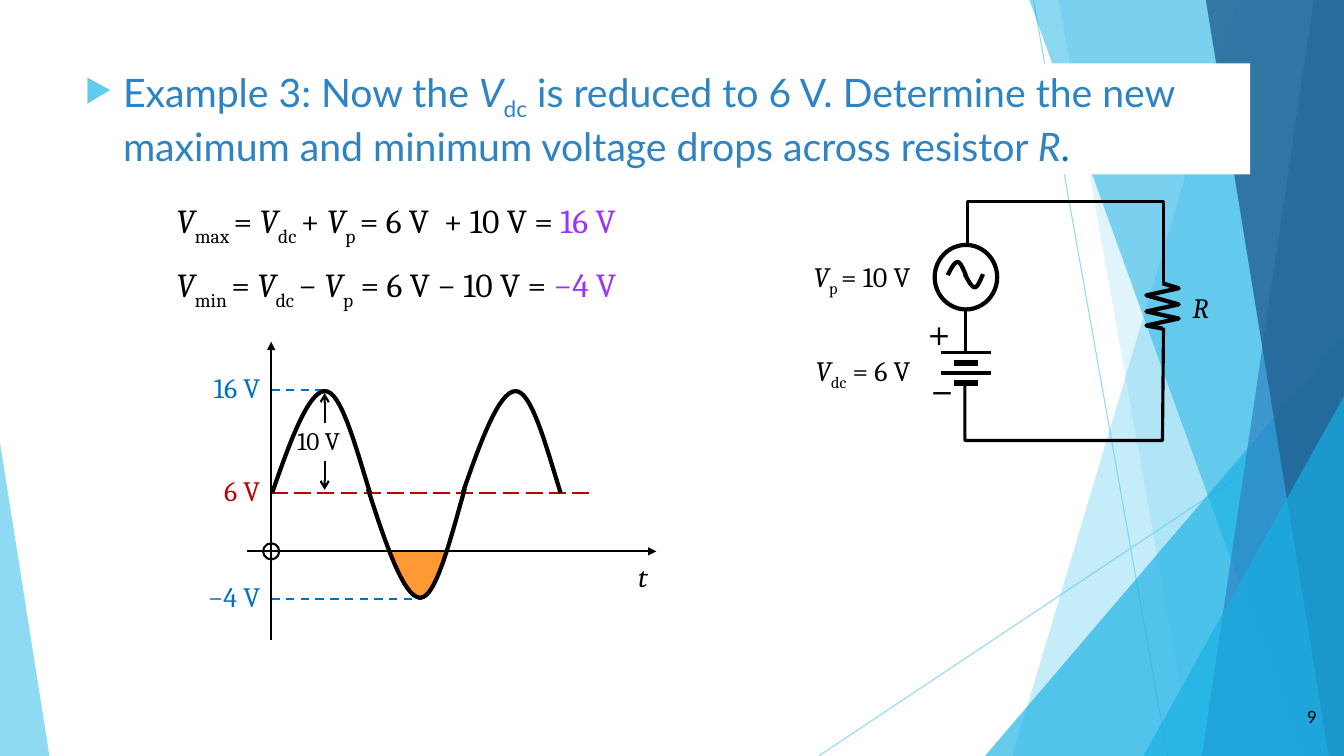
import pptx
import pptx.util
import pptx.dml.color
import pptx.enum.dml
import pptx.enum.shapes
import pptx.enum.text
import pptx.oxml
import pptx.oxml.ns
from lxml import etree

Inches = pptx.util.Inches
Pt = pptx.util.Pt
RGBColor = pptx.dml.color.RGBColor
qn = pptx.oxml.ns.qn
Dash = pptx.enum.dml.MSO_LINE
Shape = pptx.enum.shapes.MSO_SHAPE
Align = pptx.enum.text.PP_ALIGN
Anchor = pptx.enum.text.MSO_ANCHOR

BLACK = RGBColor(0x00, 0x00, 0x00)
WHITE = RGBColor(0xFF, 0xFF, 0xFF)
SKY = RGBColor(0x5F, 0xCB, 0xEF)
CYAN = RGBColor(0x17, 0xB0, 0xE4)
BLUE = RGBColor(0x2E, 0x83, 0xC3)
NAVY = RGBColor(0x22, 0x62, 0x92)
AZURE = RGBColor(0x00, 0x70, 0xC0)
RED = RGBColor(0xC0, 0x00, 0x00)
PURPLE = RGBColor(0x99, 0x33, 0xFF)
ORANGE = RGBColor(0xFF, 0x99, 0x33)

VAR = "var"
SUB = "sub"


def fade(item, alpha):
    for color in item.element.spPr.iter(qn("a:srgbClr")):
        etree.SubElement(color, qn("a:alpha"), val=str(alpha * 1000))


def write(frame, lines, size=20, font="Cambria", color=BLACK, align=Align.LEFT,
          anchor=Anchor.TOP, wrap=True, gap=0, drop=-25):
    frame.word_wrap = wrap
    frame.vertical_anchor = anchor
    for row, runs in enumerate(lines):
        para = frame.add_paragraph() if row else frame.paragraphs[0]
        para.alignment = align
        para.space_before = Pt(gap if row else 0)
        for words, kind in runs:
            run = para.add_run()
            run.text = words
            run.font.size = Pt(size)
            run.font.name = font
            run.font.italic = kind == VAR
            run.font.color.rgb = kind if isinstance(kind, RGBColor) else color
            if kind == SUB:
                run.font._element.set("baseline", str(drop * 1000))


def hump(x, y, wide, high):
    def curve(a, b, c, d):
        steps = [n / 16 for n in range(17)]
        return [tuple((1 - t) ** 3 * p + 3 * t * (1 - t) ** 2 * q
                      + 3 * t * t * (1 - t) * r + t ** 3 * s
                      for p, q, r, s in zip(a, b, c, d)) for t in steps]

    marks = [(0, 0), (0.18, 0.5), (0.37, 1), (0.54, 1), (0.7, 1), (0.84, 0.5), (1, 0)]
    pts = [(x + wide * u, y - high * v) for u, v in marks]
    return curve(*pts[:4]) + curve(*pts[3:])[1:]


class Pen:
    def __init__(self, slide, left, top):
        self.shapes = slide.shapes
        self.left = left
        self.top = top

    def spot(self, x, y):
        return Inches(self.left + x), Inches(self.top + y)

    def style(self, item, fill, line, alpha):
        item.shadow.inherit = False
        if fill is None:
            item.fill.background()
        else:
            item.fill.solid()
            item.fill.fore_color.rgb = fill
        if line:
            item.line.color.rgb = BLACK
            item.line.width = Pt(line)
        else:
            item.line.fill.background()
        if alpha:
            fade(item, alpha)

    def trace(self, pts, fill=None, line=0, alpha=0):
        spots = [self.spot(*pt) for pt in pts]
        form = self.shapes.build_freeform(*spots[0])
        form.add_line_segments(spots[1:], close=fill is not None)
        self.style(form.convert_to_shape(), fill, line, alpha)

    def shape(self, kind, x, y, wide, high, fill=None, line=0, alpha=0, tip=None):
        item = self.shapes.add_shape(kind, *self.spot(x, y), Inches(wide), Inches(high))
        if tip is not None:
            item.adjustments[0] = tip
        self.style(item, fill, line, alpha)

    def line(self, x, y, right, down, width=1.5, color=BLACK, dash=None, head=None, alpha=0):
        item = self.shapes.add_connector(
            pptx.enum.shapes.MSO_CONNECTOR.STRAIGHT, *self.spot(x, y), *self.spot(right, down))
        item.line.color.rgb = color
        item.line.width = Pt(width)
        if dash:
            item.line.dash_style = dash
        if head:
            etree.SubElement(item.line._get_or_add_ln(), qn("a:tailEnd"), type=head)
        etree.SubElement(item.element.spPr, qn("a:effectLst"))
        if alpha:
            fade(item, alpha)

    def text(self, x, y, wide, high, lines, **look):
        box = self.shapes.add_textbox(*self.spot(x, y), Inches(wide), Inches(high))
        write(box.text_frame, lines, **look)


def backdrop(slide, left, top, wide, high):
    pen = Pen(slide, left, top)

    def band(head, foot, fill, alpha):
        pen.trace([(head, 0), (wide, 0), (wide, high), (foot, high)], fill, alpha=alpha)

    def wedge(x, y, span, fill, alpha, tip):
        pen.shape(Shape.ISOSCELES_TRIANGLE, x, y, span, high - y, fill, alpha=alpha, tip=tip)

    pen.line(10.25, 0, 11.58, high, 0.75, SKY, alpha=70)
    pen.line(wide, 4.03, 8.12, high, 0.75, SKY, alpha=70)
    band(12.28, 10.04, SKY, 36)
    band(10.5, 11.83, SKY, 20)
    wedge(9.77, 3.33, 3.56, CYAN, 66, 1)
    band(10.21, 12.91, CYAN, 50)
    band(13.03, 11.92, BLUE, 70)
    band(11.96, 13.18, NAVY, 80)
    wedge(11.34, 3.93, 1.99, CYAN, 66, 1)
    wedge(0, 4.39, 0.49, SKY, 70, 0)


def heading(slide, left, top, wide, high):
    title = slide.shapes.title
    title.element.getparent().append(title.element)
    title.left, title.top, title.width, title.height = map(Inches, (left, top, wide, high))
    title.fill.solid()
    title.fill.fore_color.rgb = WHITE
    frame = title.text_frame
    frame.auto_size = pptx.enum.text.MSO_AUTO_SIZE.NONE
    props = frame.paragraphs[0]._p.get_or_add_pPr()
    props.set("marL", str(Inches(0.38)))
    props.set("indent", str(Inches(-0.38)))
    tint = etree.SubElement(props, qn("a:buClr"))
    etree.SubElement(tint, qn("a:srgbClr"), val=str(SKY))
    etree.SubElement(props, qn("a:buSzPct"), val="80000")
    etree.SubElement(props, qn("a:buChar"), char="▶")
    write(frame, [[("Example 3: Now the ", ""), ("V", VAR), ("dc", SUB),
                   (" is reduced to 6 V. Determine the new maximum and minimum "
                    "voltage drops across resistor ", ""), ("R", VAR), (".", AZURE)]],
          size=28, font="Lato", color=BLUE)


def sums(slide, left, top, wide, high):
    def row(name, sign, mid, end):
        return [("V", VAR), (name, SUB), ("= ", ""), ("V", VAR), ("dc ", SUB),
                (sign, ""), ("V", VAR), *mid, (end, PURPLE)]

    peak = row("max ", "+ ", [("p ", SUB), ("= 6 V  + 10 V = ", "")], "16 V")
    dip = row("min ", "− ", [("p", SUB), (" = 6 V − 10 V = ", "")], "−4 V")
    Pen(slide, left, top).text(0, 0, wide, high, [peak, dip], size=24, gap=12, drop=-30)


def circuit(slide, left, top):
    pen = Pen(slide, left, top)
    pen.text(0, 0.53, 1.68, 0.6, [[("V", VAR), ("p ", SUB), ("= 10 V", "")]])
    pen.text(0.02, 1.46, 2.02, 0.48, [[("V", VAR), ("dc", SUB), (" = 6 V", "")]])
    pen.text(3.76, 0.83, 0.41, 0.59, [[("R", VAR)]])
    pen.shape(Shape.OVAL, 1.3, 0.43, 0.62, 0.64, line=3)
    pen.trace(hump(1.43, 0.73, 0.18, 0.13), line=3)
    pen.trace(hump(1.6, 0.72, 0.18, -0.13), line=3)
    pen.line(1.61, 1.49, 1.61, 1.07, 2.25)
    pen.trace([(1.63, 0.41), (1.63, 0), (3.57, 0), (3.57, 0.81)], line=2.25)
    pen.trace([(1.6, 1.78), (1.6, 2.37), (3.56, 2.37), (3.57, 1.25)], line=2.25)
    pen.trace([(3.56, 0.81), (3.72, 0.86), (3.4, 0.93), (3.72, 1.02), (3.4, 1.09),
               (3.72, 1.16), (3.4, 1.23), (3.56, 1.26)], line=3)
    for y in (1.5, 1.7):
        pen.line(1.36, y, 1.86, y, 2.25)
        pen.line(1.49, y + 0.1, 1.73, y + 0.1, 4)
    for x, y, sign in ((1.08, 1.1, "+"), (1.11, 1.67, "−")):
        pen.text(x, y, 0.53, 0.54, [[(sign, "")]], font="DejaVu Sans", align=Align.CENTER)


def graph(slide, left, top):
    pen = Pen(slide, left, top)
    axis, zero, base = 0.79, 2.08, 1.5
    pen.trace([(1.97, zero), (2.54, zero), (2.39, 2.44), (2.31, 2.55), (2.25, 2.54),
               (2.2, 2.52), (2.09, 2.34)], ORANGE)
    for y, end, dash, name, color, edge in (
            (base, 3.95, Dash.LONG_DASH, "6 V", RED, 0.78),
            (2.55, 2.29, Dash.DASH, "−4 V", AZURE, 0.78),
            (0.48, 1.31, Dash.DASH, "16 V", AZURE, 0.78)):
        pen.line(axis, y, end, y, color=color, dash=dash)
        pen.text(edge - 0.75, y - 0.24, 0.75, 0.44, [[(name, "")]],
                 color=color, align=Align.RIGHT, wrap=False)
    for x in (0.8, 2.69):
        pen.trace(hump(x, base, 0.97, 1.01), line=3)
    pen.trace(hump(1.75, 1.46, 0.96, -1.08), line=3)
    pen.line(1.32, 0.81, 1.32, 0.51, head="arrow")
    pen.line(1.32, 1.18, 1.32, 1.47, head="arrow")
    pen.text(0.95, 0.78, 0.71, 0.4, [[("10 V", "")]], size=18)
    pen.line(0.55, zero, 4.61, zero, head="triangle")
    pen.line(axis, 2.96, axis, 0, head="triangle")
    pen.shape(Shape.OVAL, axis - 0.08, zero - 0.08, 0.16, 0.16, line=1.5)
    pen.text(4.33, 2.11, 0.42, 0.43, [[("t", VAR)]])


def footer(slide, left, top, wide, high):
    Pen(slide, left, top).text(0, 0, wide, high, [[("9", "")]], size=12, font="Lato",
                               align=Align.RIGHT, anchor=Anchor.MIDDLE)


def main():
    deck = pptx.Presentation()
    deck.slide_width = Inches(13.33)
    deck.slide_height = Inches(7.5)
    slide = deck.slides.add_slide(deck.slide_layouts[5])
    backdrop(slide, 0, 0, 13.33, 7.5)
    heading(slide, 0.74, 0.63, 11.66, 1.1)
    sums(slide, 1.65, 1.93, 5.98, 1.11)
    circuit(slide, 7.97, 2)
    graph(slide, 1.9, 3.39)
    footer(slide, 12.41, 6.91, 0.75, 0.4)
    deck.save("out.pptx")


if __name__ == "__main__":
    main()
